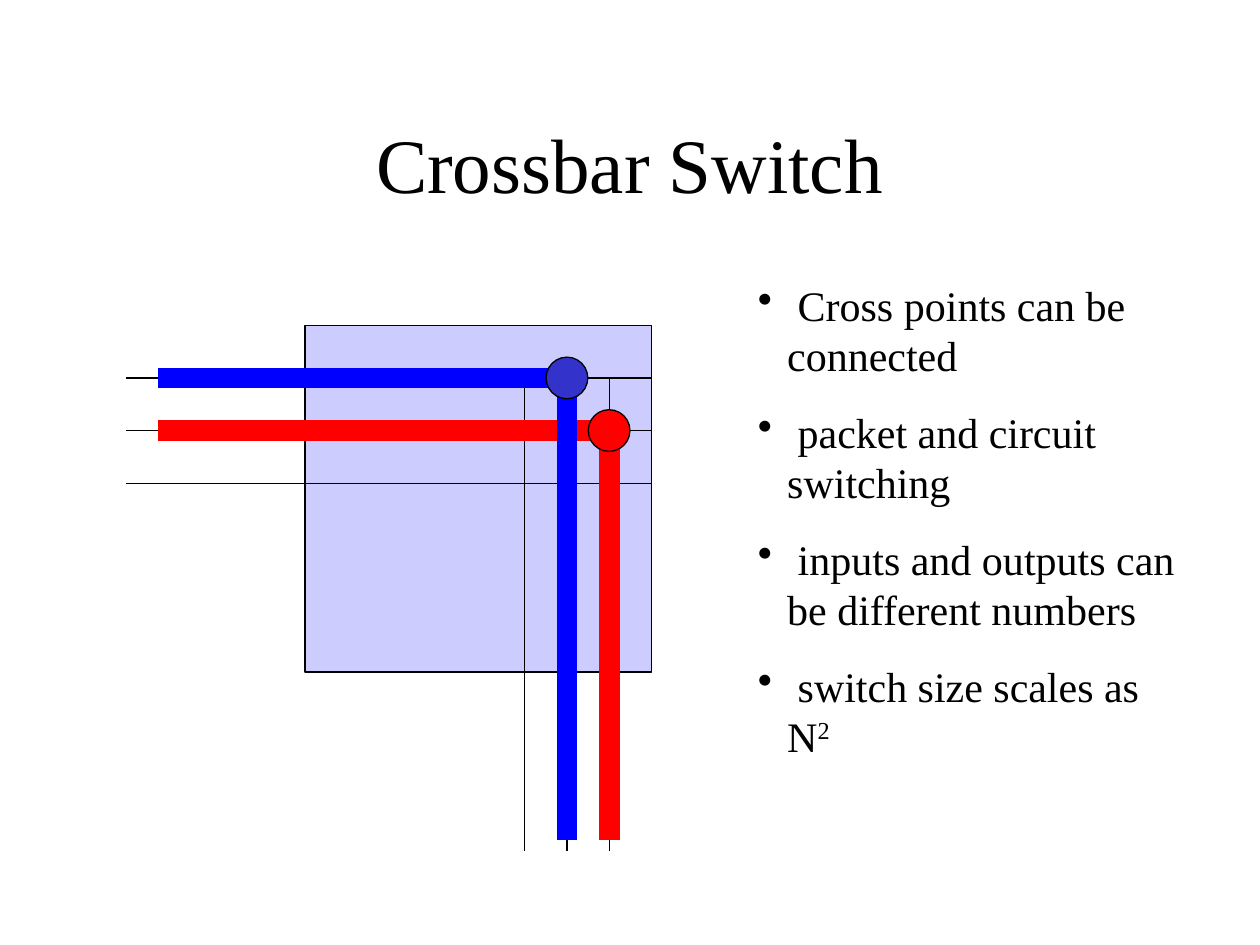
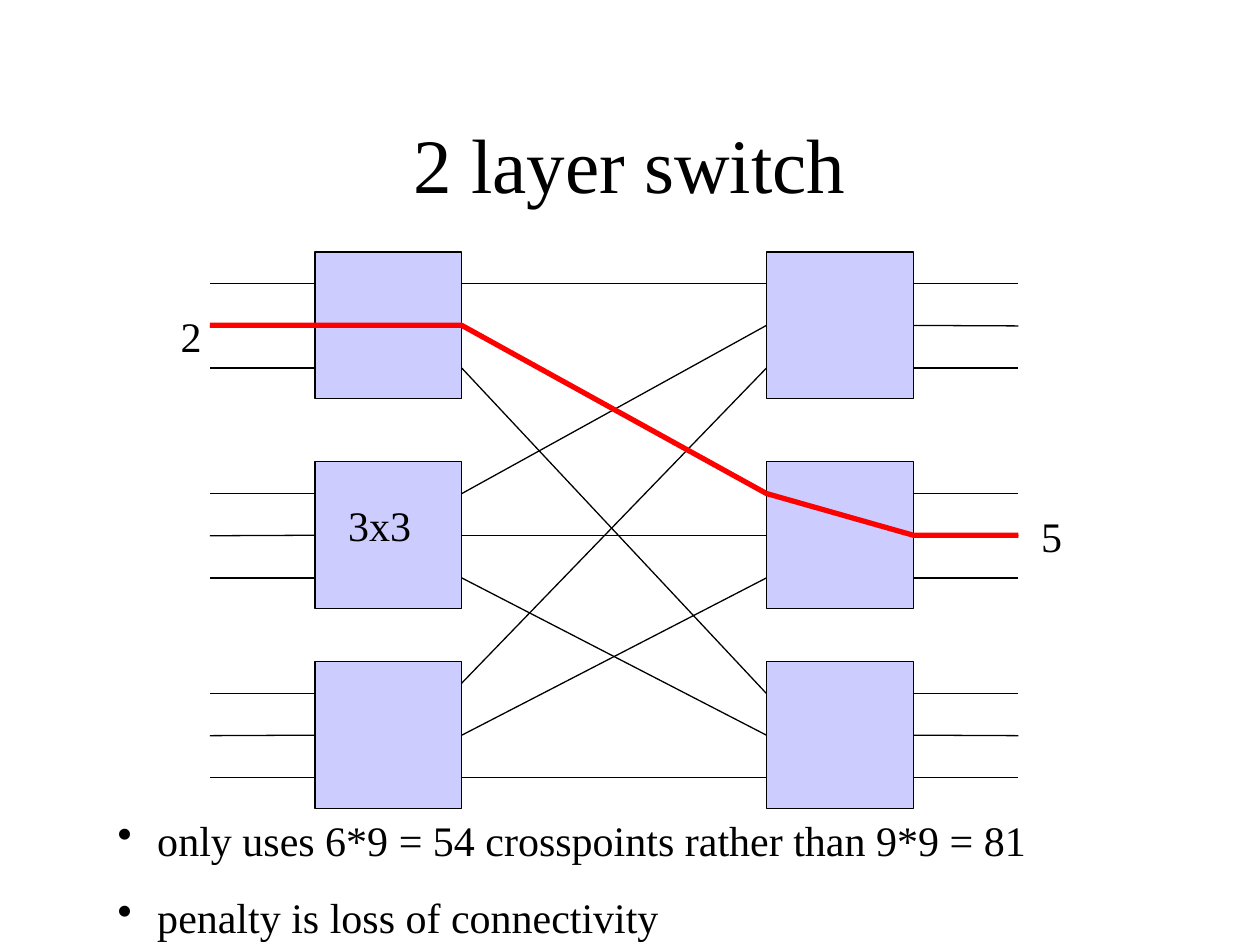
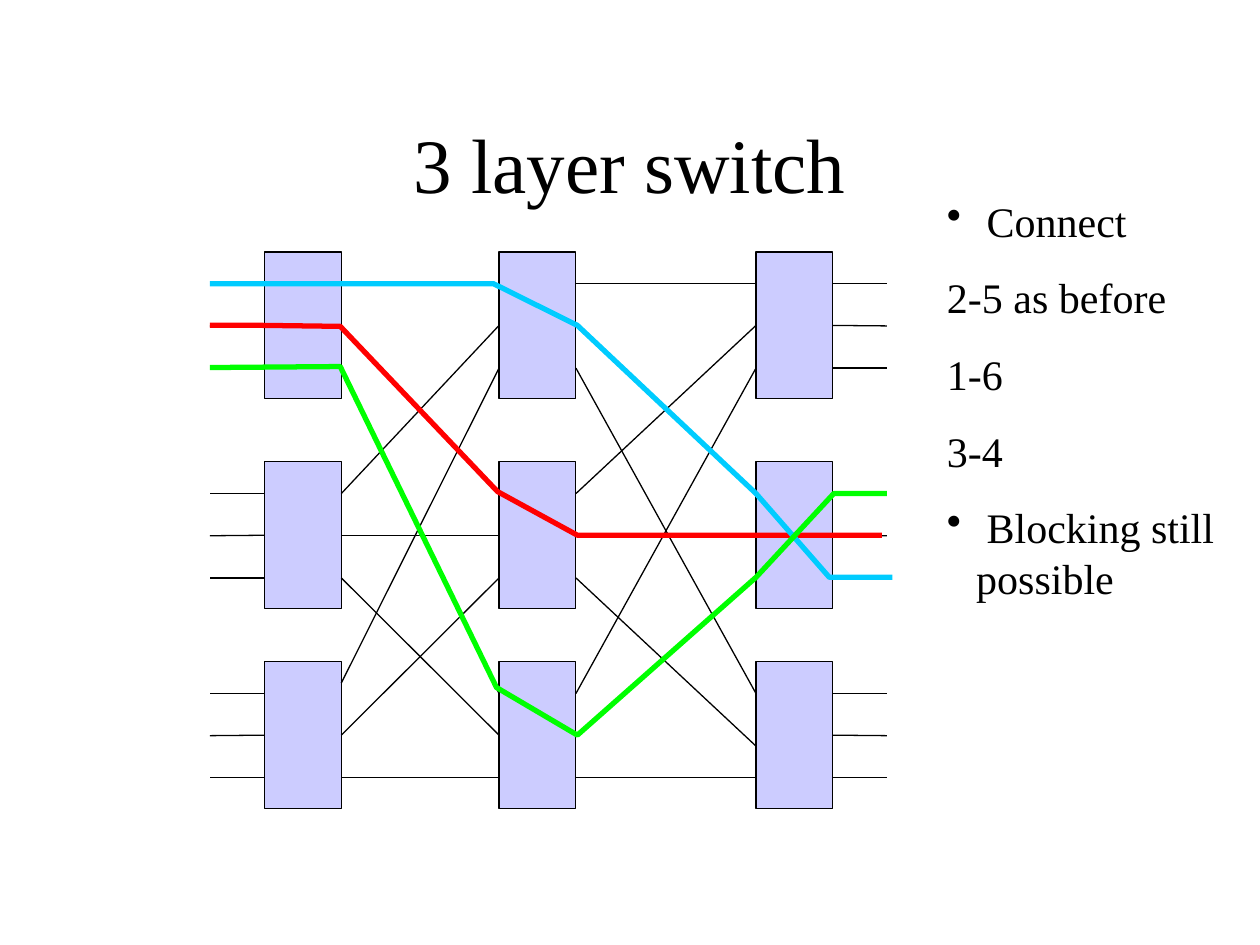
from lxml import etree
from pptx import Presentation
from pptx.dml.color import RGBColor
from pptx.enum import shapes, text
from pptx.oxml.ns import qn
from pptx.util import Cm, Pt

BLACK = RGBColor(0x00, 0x00, 0x00)
PALE = RGBColor(0xCC, 0xCC, 0xFF)
RED = RGBColor(0xFF, 0x00, 0x00)
BLUE = RGBColor(0x00, 0x00, 0xFF)
INDIGO = RGBColor(0x33, 0x33, 0xCC)
CYAN = RGBColor(0x00, 0xCC, 0xFF)
GREEN = RGBColor(0x00, 0xFF, 0x00)
FONT = "Times New Roman"
THIN, ROUTE, BAR = 0.75, 3, 12
LEFT, RIGHT = 1, 3  # connection sites of a rectangle

# Crossbar: lengths in cm
SQUARE = (6.15, 6.56, 6.99, 6.99)
ROWS = (7.62, 8.68, 9.74)
COLS = (10.58, 11.43, 12.28)
ROW_SPAN = (2.54, 13.13)
COL_END = 17.15
BAR_START, BAR_END = 3.18, 16.93
DOT = 0.84
CROSSES = [(1, 2, RED, RED), (0, 1, BLUE, INDIGO)]  # row, column, bar, dot

# Layered switches: three boxes a layer, three ports a box
TOPS = (5.08, 9.31, 13.34)
TALL = 2.96
PORT, STEP = 0.64, 0.85
NUDGE = 0.21

CROSS_NOTES = [
    ("•", " Cross points can be connected"),
    ("•", " packet and circuit switching"),
    ("•", " inputs and outputs can be different numbers"),
    ("•", " switch size scales as N", "2"),
]
TWO = dict(
    title="2 layer switch", lefts=(6.35, 15.45), wide=2.96, ends=(4.23, 20.53),
    nudges=[{(2, 0): (-NUDGE, 0)}],
    routes=[(RED, [(4.23, 6.56), (9.31, 6.56), (15.45, 9.95), (18.41, 10.79), (20.53, 10.79)])],
    notes=[
        ((2.12, 16.3, 21.17, 2.82), [
            ("•", " only uses 6*9 = 54 crosspoints rather than 9*9 = 81"),
            ("•", " penalty is loss of connectivity")]),
        ((6.77, 9.95, 2.12, 1.27), [("", "3x3")]),
        ((3.39, 6.14, 1.06, 1.27), [("", "2")]),
        ((20.74, 10.16, 1.06, 1.27), [("", "5")]),
    ],
)
THREE = dict(
    title="3 layer switch", lefts=(5.33, 10.06, 15.24), wide=1.55, ends=(4.23, 17.88),
    nudges=[{(2, 0): (-NUDGE, 0)}, {(1, 2): (0, NUDGE)}],
    routes=[
        (RED, [(4.23, 6.56), (5.29, 6.56), (6.86, 6.58), (10.03, 9.91),
               (11.64, 10.79), (15.24, 10.79), (17.78, 10.79)]),
        (CYAN, [(4.23, 5.72), (9.95, 5.72), (11.64, 6.56), (15.24, 9.95),
                (16.72, 11.64), (17.99, 11.64)]),
        (GREEN, [(4.23, 7.41), (6.86, 7.39), (10.01, 13.86), (11.64, 14.82),
                 (15.24, 11.64), (16.81, 9.95), (17.88, 9.95)]),
    ],
    notes=[((18.84, 3.81, 6.35, 8.48), [
        ("•", " Connect"), ("", "2-5 as before"), ("", "1-6"), ("", "3-4"),
        ("•", " Blocking still possible")])],
)


def style(par, size):
    par.line_spacing = Pt(size * 1.2)
    for run in par.runs:
        run.font.name, run.font.size = FONT, Pt(size)
        run.font.color.rgb = BLACK


def new_slide(deck, title):
    slide = deck.slides.add_slide(deck.slide_layouts[5])
    head = slide.shapes.title
    head.left, head.top, head.width, head.height = map(Cm, (1.9, 1.69, 21.59, 3.18))
    frame = head.text_frame
    frame.text = title
    frame.auto_size = text.MSO_AUTO_SIZE.NONE
    frame.vertical_anchor = text.MSO_ANCHOR.MIDDLE
    frame.paragraphs[0].alignment = text.PP_ALIGN.CENTER
    style(frame.paragraphs[0], 44)
    return slide


def add_bullet(par, mark):
    props = par._p.get_or_add_pPr()
    props.set("marL", str(Cm(0.59)))
    props.set("indent", str(-Cm(0.59)))
    etree.SubElement(props, qn("a:buChar")).set("char", mark)


def add_note(slide, place, items):
    """Items are (bullet, text) with an optional superscript."""
    frame = slide.shapes.add_textbox(*map(Cm, place)).text_frame
    frame.word_wrap = True
    for num, (mark, words, *power) in enumerate(items):
        par = frame.add_paragraph() if num else frame.paragraphs[0]
        par.text = words
        for digit in power:
            run = par.add_run()
            run.text = digit
            run.font._element.set("baseline", "30000")
        style(par, 24)
        par.space_before = Pt(15)
        if mark:
            add_bullet(par, mark)


def add_block(slide, kind, place, fill):
    block = slide.shapes.add_shape(kind, *map(Cm, place))
    block.shadow.inherit = False
    block.fill.solid()
    block.fill.fore_color.rgb = fill
    block.line.color.rgb = BLACK
    block.line.width = Pt(THIN)
    return block


def add_line(slide, start, end, color=BLACK, width=THIN):
    line = slide.shapes.add_connector(
        shapes.MSO_CONNECTOR.STRAIGHT, *map(Cm, (*start, *end)))
    line.line.color.rgb = color
    line.line.width = Pt(width)
    etree.SubElement(line._element.spPr, qn("a:effectLst"))
    return line


def add_route(slide, color, points):
    first, *rest = [(Cm(x), Cm(y)) for x, y in points]
    form = slide.shapes.build_freeform(*first)
    form.add_line_segments(rest, close=False)
    route = form.convert_to_shape()
    route.shadow.inherit = False
    route.fill.background()
    route.line.color.rgb = color
    route.line.width = Pt(ROUTE)


def port_y(box, port):
    return TOPS[box] + PORT + STEP * port


def add_leads(slide, boxes, side, edge, end):
    """Draw the outer lines of one layer."""
    for num, box in enumerate(boxes):
        for port in range(3):
            y = port_y(num, port)
            lead = add_line(slide, (edge, y), (end, y))
            if port == 1:
                lead.begin_connect(box, side)


def add_wires(slide, near, far, start, end, nudges):
    """Join port p of near box b to port b of far box p."""
    for box in range(3):
        for port in range(3):
            up, down = nudges.get((box, port), (0, 0))
            wire = add_line(slide, (start, port_y(box, port) + up),
                            (end, port_y(port, box) + down))
            if port == 1 and not up:
                wire.begin_connect(near[box], RIGHT)
            if box == 1 and not down:
                wire.end_connect(far[port], LEFT)


def build_crossbar(deck):
    slide = new_slide(deck, "Crossbar Switch")
    add_block(slide, shapes.MSO_SHAPE.RECTANGLE, SQUARE, PALE)
    for y in ROWS:
        add_line(slide, (ROW_SPAN[1], y), (ROW_SPAN[0], y))
    for x in COLS:
        add_line(slide, (x, ROWS[0]), (x, COL_END))
    for row, col, bar, dot in CROSSES:
        x, y = COLS[col], ROWS[row]
        add_line(slide, (BAR_START, y), (x, y), bar, BAR)
        add_line(slide, (x, y), (x, BAR_END), bar, BAR)
        add_block(slide, shapes.MSO_SHAPE.OVAL,
                  (x - DOT / 2, y - DOT / 2, DOT, DOT), dot)
    add_note(slide, (15.03, 5.5, 9.1, 8.97), CROSS_NOTES)


def build_layers(deck, title, lefts, wide, ends, nudges, routes, notes):
    slide = new_slide(deck, title)
    layers = [[add_block(slide, shapes.MSO_SHAPE.RECTANGLE, (x, y, wide, TALL), PALE)
               for y in TOPS] for x in lefts]
    add_leads(slide, layers[0], LEFT, lefts[0], ends[0])
    add_leads(slide, layers[-1], RIGHT, lefts[-1] + wide, ends[1])
    for num, shifts in enumerate(nudges):
        add_wires(slide, layers[num], layers[num + 1],
                  lefts[num] + wide, lefts[num + 1], shifts)
    for place, items in notes:
        add_note(slide, place, items)
    for color, points in routes:
        add_route(slide, color, points)


def main():
    deck = Presentation()
    deck.slide_width, deck.slide_height = Cm(25.4), Cm(19.05)
    build_crossbar(deck)
    for switch in (TWO, THREE):
        build_layers(deck, **switch)
    deck.save("out.pptx")


if __name__ == "__main__":
    main()
